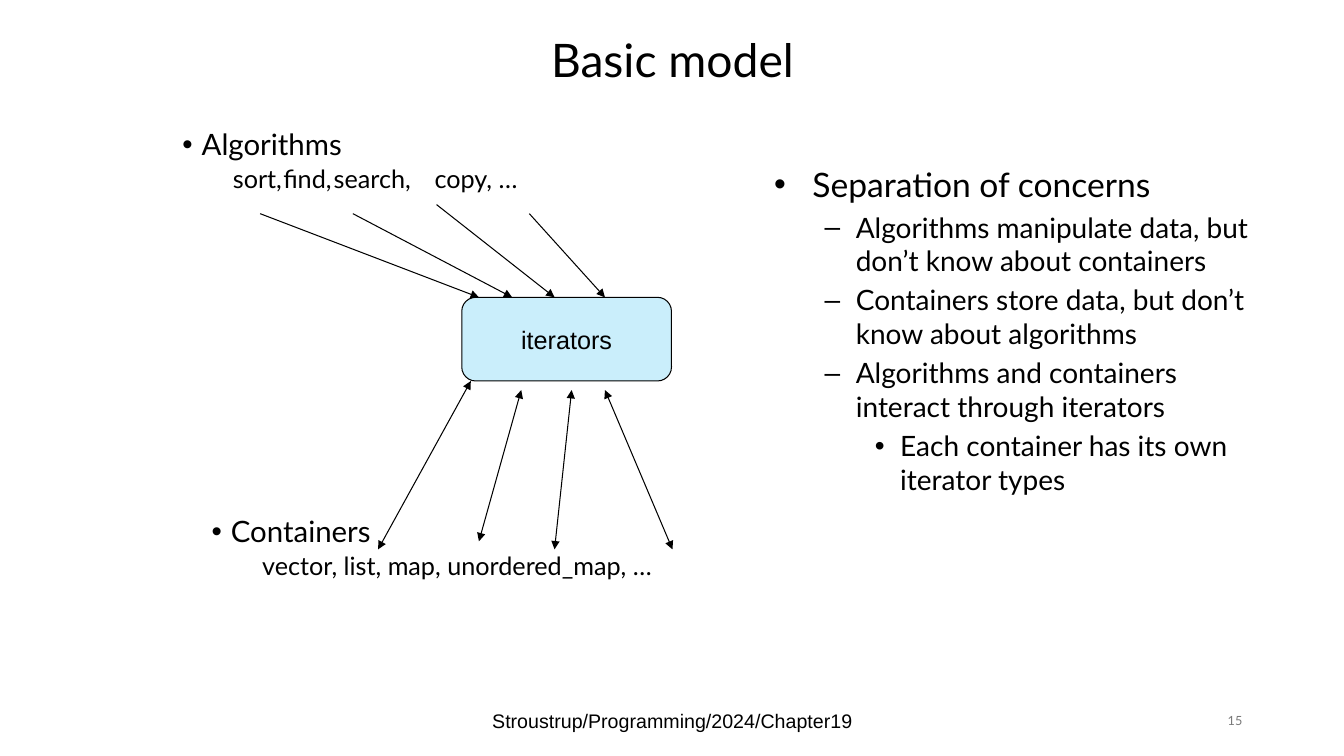
from dataclasses import dataclass

from lxml import etree
from pptx import Presentation
from pptx import util as u
from pptx.dml.color import RGBColor
from pptx.enum import shapes, text
from pptx.oxml.ns import qn

PX = u.Inches(1) // 100


@dataclass(frozen=True)
class Theme:
    ink: RGBColor = RGBColor(0, 0, 0)
    muted: RGBColor = RGBColor(0x79, 0x79, 0x79)
    box_fill: RGBColor = RGBColor(0xCA, 0xEE, 0xFB)
    main_font: str = "Lato"
    plain_font: str = "Arial"
    title: int = 33
    concern: int = 24
    heading: int = 21
    point: int = 20
    names: int = 18
    footer: int = 14
    number: int = 9
    line: float = 0.75


THEME = Theme()
ALIGN = text.PP_ALIGN
ANCHOR = text.MSO_ANCHOR


@dataclass(frozen=True)
class ListLevel:
    """Paragraph format; lengths in px, spacing before in points."""
    size: int
    margin: int = 0
    hang: int = 0
    bullet: str = ""
    before: float = 0
    spacing: float = 1.0
    tabs: tuple = ()


HEADING = ListLevel(THEME.heading, 19, 19, "•", 7.5, 0.9)
ALGORITHM_NAMES = ListLevel(THEME.names, before=3.8, spacing=0.9,
                            tabs=(56, 137, 217, 326))
CONTAINER_NAMES = ListLevel(THEME.names, before=3.8, spacing=0.9, tabs=(145,))
CONCERN = ListLevel(THEME.concern, 38, 38, "•", 4.8)
POINT = ListLevel(THEME.point, 81, 31, "–", 4)
SUBPOINT = ListLevel(THEME.point, 125, 25, "•", 4)

# Each arrow: start x, start y, end x, end y
ALGORITHM_ARROWS = [(258, 212, 475, 295), (350, 212, 508, 295),
                    (433, 203, 550, 295), (525, 212, 600, 295)]
CONTAINER_ARROWS = [(375, 545, 467, 378), (475, 537, 517, 387),
                    (550, 545, 567, 387), (667, 545, 600, 387)]


def place(shape, left, top, width, height):
    shape.left, shape.top = left * PX, top * PX
    shape.width, shape.height = width * PX, height * PX


def format_font(para, size, name=THEME.main_font, color=THEME.ink):
    for span in para.runs:
        span.font.size = u.Pt(size)
        span.font.name = name
        span.font.color.rgb = color


def set_bullet(para, level):
    """Set the indent, bullet and tab stops, which have no public methods."""
    props = para._p.get_or_add_pPr()
    props.set("marL", str(level.margin * PX))
    props.set("indent", str(-level.hang * PX))
    if level.bullet:
        etree.SubElement(props, qn("a:buFont"), typeface=THEME.plain_font)
        etree.SubElement(props, qn("a:buChar"), char=level.bullet)
    else:
        etree.SubElement(props, qn("a:buNone"))
    if level.tabs:
        stops = etree.SubElement(props, qn("a:tabLst"))
        for stop in level.tabs:
            etree.SubElement(stops, qn("a:tab"), pos=str(stop * PX), algn="l")


def fill_list(shape, items):
    frame = shape.text_frame
    frame.word_wrap = True
    frame.auto_size = text.MSO_AUTO_SIZE.NONE
    frame.vertical_anchor = ANCHOR.TOP
    frame.text = "\n".join(words for words, _ in items)
    for para, (_, level) in zip(frame.paragraphs, items):
        para.line_spacing = level.spacing
        para.space_before = u.Pt(level.before)
        set_bullet(para, level)
        format_font(para, level.size)


def fill_line(shape, words, size, align=ALIGN.CENTER, wrap=True, **font):
    frame = shape.text_frame
    frame.word_wrap = wrap
    frame.auto_size = text.MSO_AUTO_SIZE.NONE
    frame.vertical_anchor = ANCHOR.MIDDLE
    frame.text = words
    para = frame.paragraphs[0]
    para.alignment = align
    format_font(para, size, **font)


def add_textbox(page, *bounds):
    return page.shapes.add_textbox(*(length * PX for length in bounds))


def add_iterator_box(page):
    box = page.shapes.add_shape(shapes.MSO_SHAPE.ROUNDED_RECTANGLE,
                                458 * PX, 295 * PX, 208 * PX, 83 * PX)
    box.shadow.inherit = False
    box.fill.solid()
    box.fill.fore_color.rgb = THEME.box_fill
    box.line.color.rgb = THEME.ink
    box.line.width = u.Pt(THEME.line)
    fill_line(box, "iterators", THEME.names, wrap=False, name=THEME.plain_font)


def add_arrow(page, points, ends):
    arrow = page.shapes.add_connector(shapes.MSO_CONNECTOR.STRAIGHT,
                                      *(point * PX for point in points))
    arrow.line.color.rgb = THEME.ink
    arrow.line.width = u.Pt(THEME.line)
    for end in ends:
        etree.SubElement(arrow.line._get_or_add_ln(), qn(f"a:{end}"),
                         type="triangle")
    etree.SubElement(arrow._element.spPr, qn("a:effectLst"))


def main():
    deck = Presentation()
    deck.slide_width, deck.slide_height = u.Inches(13.33), u.Inches(7.5)
    page = deck.slides.add_slide(deck.slide_layouts.get_by_name("Two Content"))
    title, algorithms, containers = page.placeholders

    place(title, 217, 0, 900, 125)
    fill_line(title, "Basic model", THEME.title)
    title.text_frame.paragraphs[0].line_spacing = 0.9

    place(algorithms, 171, 124, 900, 150)
    fill_list(algorithms, [
        ("Algorithms", HEADING),
        ("\tsort,\tfind,\tsearch,\tcopy, …", ALGORITHM_NAMES),
    ])
    place(containers, 200, 508, 900, 128)
    fill_list(containers, [
        ("Containers", HEADING),
        ("\tvector, list, map, unordered_map, …", CONTAINER_NAMES),
    ])

    add_iterator_box(page)
    for points in ALGORITHM_ARROWS:
        add_arrow(page, points, ["tailEnd"])
    for points in CONTAINER_ARROWS:
        add_arrow(page, points, ["headEnd", "tailEnd"])

    fill_list(add_textbox(page, 758, 158, 500, 442), [
        ("Separation of concerns", CONCERN),
        ("Algorithms manipulate data, but don’t know about containers", POINT),
        ("Containers store data, but don’t know about algorithms", POINT),
        ("Algorithms and containers interact through iterators", POINT),
        ("Each container has its own iterator types", SUBPOINT),
    ])
    fill_line(add_textbox(page, 442, 695, 450, 40),
              "Stroustrup/Programming/2024/Chapter19", THEME.footer,
              name=THEME.plain_font)
    fill_line(add_textbox(page, 942, 695, 300, 40), "15", THEME.number,
              align=ALIGN.RIGHT, color=THEME.muted)
    deck.save("out.pptx")


if __name__ == "__main__":
    main()
